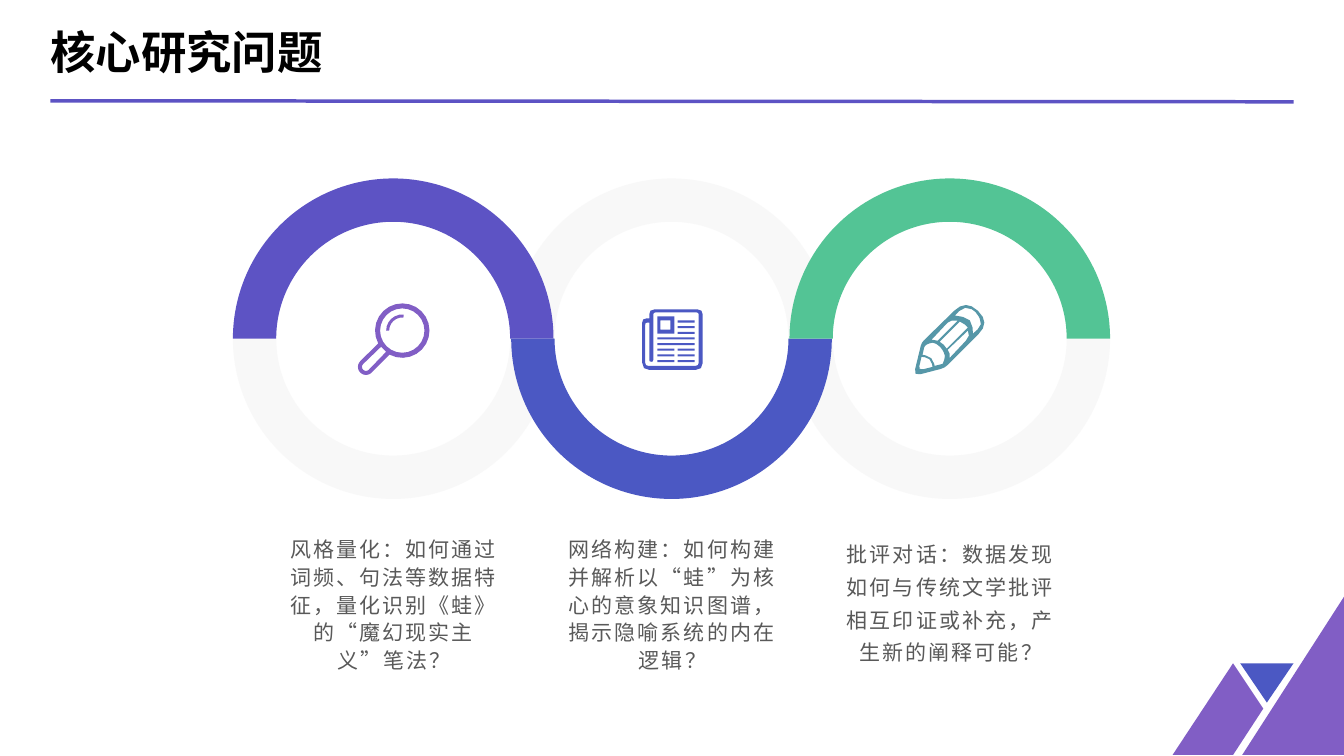
from dataclasses import dataclass
from math import cos, dist, radians, sin

from lxml.etree import SubElement
from pptx import Presentation
from pptx.dml.color import RGBColor
from pptx.enum.shapes import MSO_CONNECTOR, MSO_SHAPE
from pptx.enum.text import MSO_ANCHOR, MSO_AUTO_SIZE, PP_ALIGN
from pptx.oxml.ns import qn
from pptx.util import Inches, Pt

FONT = "Noto Sans CJK SC"
BLACK = RGBColor(0x00, 0x00, 0x00)
GREY = RGBColor(0x59, 0x59, 0x59)
PALE = RGBColor(0xF2, 0xF2, 0xF2)
VIOLET = RGBColor(0x5D, 0x53, 0xC4)
PURPLE = RGBColor(0x81, 0x5E, 0xC5)
BLUE = RGBColor(0x4B, 0x58, 0xC3)
GREEN = RGBColor(0x53, 0xC4, 0x95)
TEAL = RGBColor(0x56, 0x97, 0xA8)

Contour = list[tuple[float, float]]

RING_X, RING_Y, RING_PITCH = 3.9, 3.36, 2.76
RING_RADIUS, RING_BAND = 1.59, 0.43
HALF_TURN = 108  # 180 degrees as a block arc adjustment


def arc(cx: float, cy: float, radius: float, start: float, end: float) -> Contour:
    """Points along an arc; degrees run clockwise from the right."""
    steps = max(4, round(abs(end - start) / 15))
    angles = [radians(start + (end - start) * i / steps) for i in range(steps + 1)]
    return [(cx + radius * cos(a), cy + radius * sin(a)) for a in angles]


def box(left: float, top: float, right: float, bottom: float) -> Contour:
    return [(left, top), (right, top), (right, bottom), (left, bottom)]


def rounded(corners: list[tuple[float, float, float]]) -> Contour:
    """Polygon of (x, y, radius) corners, each smoothed by a quadratic curve."""
    points: Contour = []
    for i, (x, y, radius) in enumerate(corners):
        if not radius:
            points.append((x, y))
            continue
        ends = []
        for nx, ny, _ in (corners[i - 1], corners[(i + 1) % len(corners)]):
            share = radius / dist((x, y), (nx, ny))
            ends.append((x + (nx - x) * share, y + (ny - y) * share))
        (ax, ay), (bx, by) = ends
        steps = 4 if radius > 0.1 else 2
        for t in (k / steps for k in range(steps + 1)):
            a, m, b = (1 - t) ** 2, 2 * t * (1 - t), t * t
            points.append((a * ax + m * x + b * bx, a * ay + m * y + b * by))
    return points


def magnifier() -> list[Contour]:
    cx, cy, hx, hy = 3.99, 3.28, 3.63, 3.64
    return [
        arc(cx, cy, 0.27, 152, 478) + arc(hx, hy, 0.08, 45, 225),
        [(3.78, 3.44), (3.83, 3.49)] + arc(hx, hy, 0.04, 45, 225),
        arc(cx, cy, 0.22, 0, 360),
        arc(cx, cy, 0.16, 180, 275) + arc(cx, cy, 0.13, 275, 180),
    ]


def newspaper() -> list[Contour]:
    left, middle, right = (6.52, 6.69), (6.72, 6.89), (6.52, 6.89)
    rows = [[middle]] * 3 + [[right]] * 2 + [[left, middle]] * 3
    text_lines = [box(x1, 3.18 + 0.056 * i, x2, 3.2 + 0.056 * i)
                  for i, row in enumerate(rows) for x1, x2 in row]
    outline = rounded([(6.44, 3.07, 0.05), (6.97, 3.07, 0.05), (6.97, 3.67, 0.07),
                       (6.37, 3.67, 0.07), (6.37, 3.16, 0.04), (6.44, 3.16, 0)])
    inside = rounded([(6.4, 3.2, 0.02), (6.44, 3.2, 0), (6.44, 3.59, 0.02),
                      (6.48, 3.59, 0.02), (6.48, 3.1, 0.02), (6.93, 3.1, 0.02),
                      (6.93, 3.63, 0.03), (6.4, 3.63, 0.03)])
    frame = box(6.52, 3.14, 6.69, 3.31)
    return [outline, inside, frame, box(6.55, 3.18, 6.65, 3.27)] + text_lines


def pencil() -> list[Contour]:
    return [
        rounded([(9.14, 3.4, 0.03), (9.58, 2.97, 0.16), (9.82, 3.2, 0.16),
                 (9.37, 3.65, 0.04), (9.06, 3.73, 0.07)]),
        [(9.42, 3.55), (9.42, 3.51), (9.4, 3.47), (9.6, 3.28), (9.61, 3.33),
         (9.58, 3.38)],
        [(9.39, 3.46), (9.36, 3.42), (9.32, 3.39), (9.52, 3.19), (9.57, 3.22),
         (9.6, 3.25)],
        [(9.3, 3.38), (9.24, 3.37), (9.4, 3.2), (9.44, 3.18), (9.5, 3.18)],
        rounded([(9.17, 3.66, 0), (9.11, 3.67, 0.04), (9.14, 3.54, 0),
                 (9.23, 3.55, 0.06), (9.25, 3.64, 0)]),
        rounded([(9.27, 3.63, 0), (9.25, 3.54, 0.07), (9.15, 3.52, 0),
                 (9.17, 3.43, 0.02), (9.25, 3.39, 0.04), (9.33, 3.44, 0.04),
                 (9.38, 3.53, 0.04), (9.35, 3.61, 0)]),
        rounded([(9.65, 3.31, 0), (9.64, 3.16, 0.09), (9.47, 3.13, 0),
                 (9.57, 3.03, 0.08), (9.68, 3.09, 0.05), (9.75, 3.22, 0.07)]),
    ]


@dataclass
class Question:
    text: str
    color: RGBColor
    top: bool
    icon: list[Contour]
    icon_color: RGBColor
    spacing: float


QUESTIONS = [
    Question("风格量化：如何通过词频、句法等数据特征，量化识别《蛙》的“魔幻现实主义”笔法？",
             VIOLET, True, magnifier(), PURPLE, 1.1),
    Question("网络构建：如何构建并解析以“蛙”为核心的意象知识图谱，揭示隐喻系统的内在逻辑？",
             BLUE, False, newspaper(), BLUE, 1.1),
    Question("批评对话：数据发现如何与传统文学批评相互印证或补充，产生新的阐释可能？",
             GREEN, True, pencil(), TEAL, 1.3),
]


def paint(sp, color: RGBColor, alpha: int = 100) -> None:
    sp.shadow.inherit = False
    sp.line.fill.background()
    sp.fill.solid()
    sp.fill.fore_color.rgb = color
    if alpha < 100:
        clr = sp._element.spPr.find(".//" + qn("a:srgbClr"))
        SubElement(clr, qn("a:alpha"), val=str(alpha * 1000))


def add_outline(shapes, contours: list[Contour], color: RGBColor) -> None:
    builder = None
    for contour in contours:
        start, *rest = [(Inches(x), Inches(y)) for x, y in contour]
        if builder is None:
            builder = shapes.build_freeform(*start)
        else:
            builder.move_to(*start)
        builder.add_line_segments(rest, close=True)
    paint(builder.convert_to_shape(), color)


def add_half_ring(shapes, cx: float, top: bool, color: RGBColor,
                  alpha: int = 100) -> None:
    size = 2 * RING_RADIUS
    sp = shapes.add_shape(MSO_SHAPE.BLOCK_ARC, Inches(cx - RING_RADIUS),
                          Inches(RING_Y - RING_RADIUS), Inches(size), Inches(size))
    sp.adjustments[0] = HALF_TURN if top else 0
    sp.adjustments[1] = 0 if top else HALF_TURN
    sp.adjustments[2] = RING_BAND / size
    paint(sp, color, alpha)


def format_run(r, size: float, color: RGBColor, bold: bool = False) -> None:
    r.font.size, r.font.bold, r.font.name = Pt(size), bold, FONT
    r.font.color.rgb = color
    SubElement(r.font._element, qn("a:ea"), typeface=FONT)


def add_title(s) -> None:
    title = s.shapes.title
    title.left, title.top = Inches(0.5), Inches(0.17)
    title.width, title.height = Inches(12.33), Inches(0.67)
    tf = title.text_frame
    tf.text = "核心研究问题"
    tf.auto_size, tf.vertical_anchor = MSO_AUTO_SIZE.NONE, MSO_ANCHOR.MIDDLE
    tf.margin_left = tf.margin_right = tf.margin_top = tf.margin_bottom = 0
    tf.paragraphs[0].alignment = PP_ALIGN.LEFT
    format_run(tf.paragraphs[0].runs[0], 32.4, BLACK, bold=True)
    rule = s.shapes.add_connector(MSO_CONNECTOR.STRAIGHT, Inches(0.5), Inches(1),
                                  Inches(12.83), Inches(1.01))
    rule.line.color.rgb, rule.line.width = VIOLET, Pt(2.5)
    SubElement(rule._element.spPr, qn("a:effectLst"))


def add_corner(shapes) -> None:
    """Triangles in the bottom right corner."""
    add_outline(shapes, [[(12.23, 6.58), (12.53, 7.03), (12.23, 7.49),
                          (11.63, 7.49)]], PURPLE)
    slope = shapes.add_shape(MSO_SHAPE.ISOSCELES_TRIANGLE, Inches(12.32),
                             Inches(5.92), Inches(1.01), Inches(1.57))
    slope.adjustments[0] = 1
    paint(slope, PURPLE)
    wedge = shapes.add_shape(MSO_SHAPE.ISOSCELES_TRIANGLE, Inches(12.3),
                             Inches(6.58), Inches(0.53), Inches(0.39))
    wedge.rotation = 180
    paint(wedge, BLUE)


def add_caption(shapes, left: float, question: Question) -> None:
    tf = shapes.add_textbox(Inches(left), Inches(5.25), Inches(2.32),
                            Inches(1.48)).text_frame
    tf.word_wrap = True
    tf.text = question.text
    p = tf.paragraphs[0]
    p.alignment, p.line_spacing = PP_ALIGN.CENTER, question.spacing
    format_run(p.runs[0], 15, GREY)
    p.runs[0].font._element.set("spc", "150")


def main() -> None:
    prs = Presentation()
    prs.slide_width, prs.slide_height = Inches(13.33), Inches(7.5)
    s = prs.slides.add_slide(prs.slide_layouts[5])
    add_corner(s.shapes)
    add_title(s)
    centres = [RING_X + RING_PITCH * i for i in range(len(QUESTIONS))]
    for cx, question in zip(centres, QUESTIONS):
        add_half_ring(s.shapes, cx, not question.top, PALE, alpha=50)
    for cx, question in zip(centres, QUESTIONS):
        add_half_ring(s.shapes, cx, question.top, question.color)
        add_outline(s.shapes, question.icon, question.icon_color)
        add_caption(s.shapes, cx - 1.15, question)
    prs.save("out.pptx")


if __name__ == "__main__":
    main()
